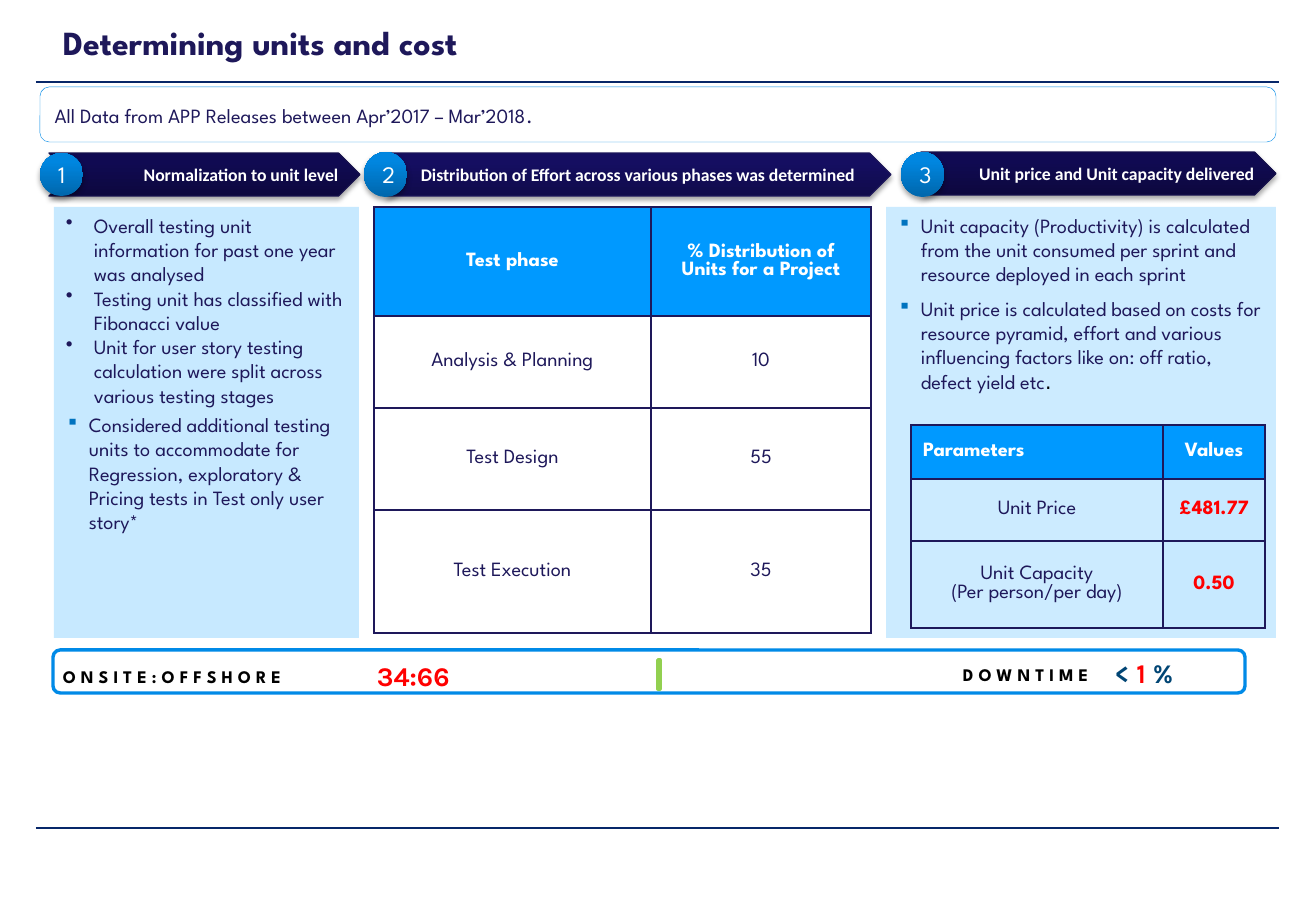
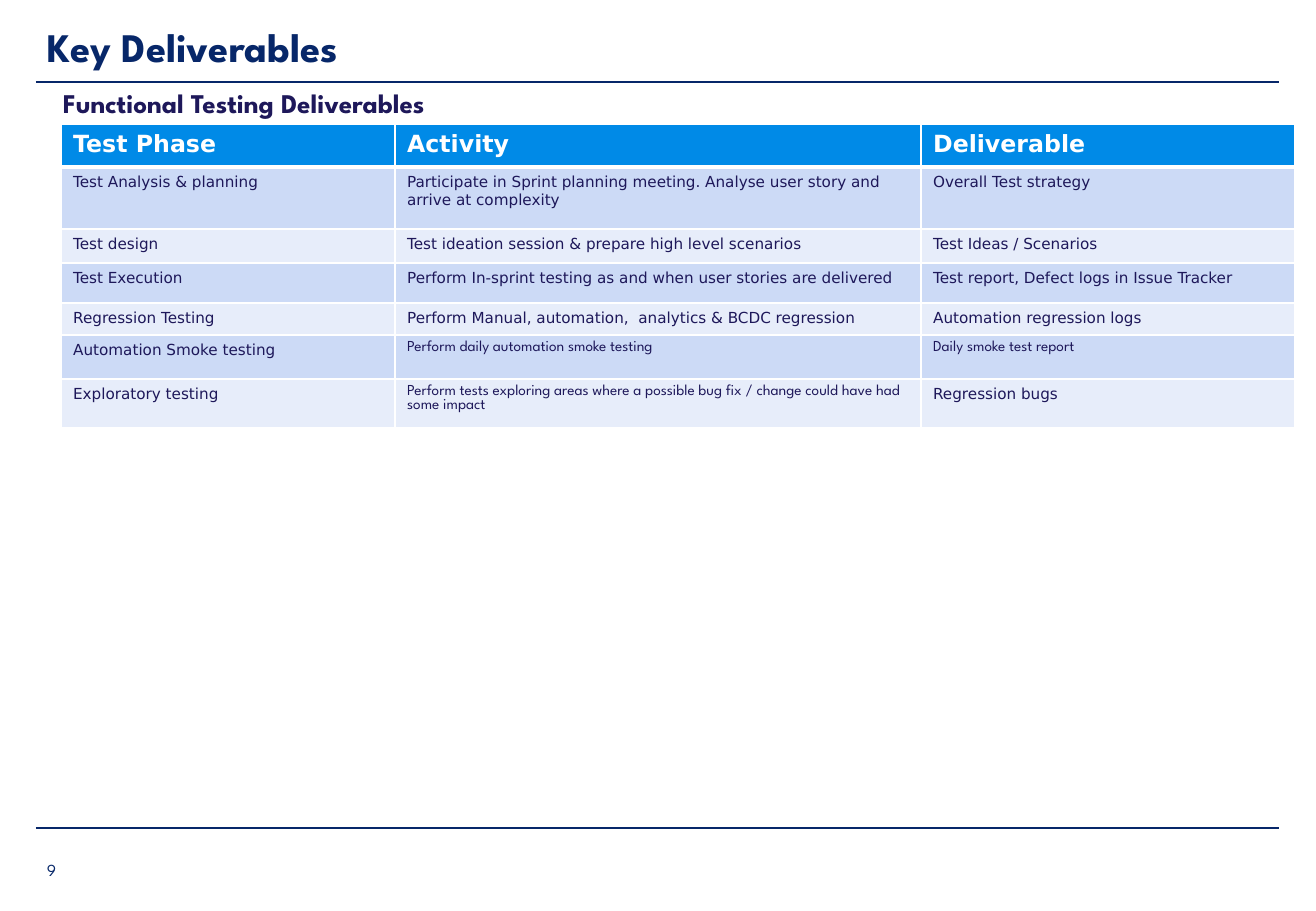
"""Build two slides on test unit costing and testing deliverables."""
from dataclasses import dataclass

from lxml.etree import SubElement
from pptx import Presentation
from pptx.dml.color import RGBColor
from pptx.enum.shapes import MSO_CONNECTOR, MSO_SHAPE
from pptx.enum.text import MSO_ANCHOR, PP_ALIGN
from pptx.oxml import parse_xml
from pptx.oxml.ns import nsdecls, qn
from pptx.shapes.autoshape import Shape
from pptx.slide import Slide
from pptx.text.text import TextFrame, _Paragraph
from pptx.util import Emu, Pt

EMU_PER_PX = 914400 / 121.5
WIDTH, HEIGHT = 1316, 911

SPARTAN, KARLA, CALIBRI, DEJAVU = "League Spartan", "Karla", "Calibri", "DejaVu Sans"
INK = RGBColor(0x1E, 0x18, 0x5A)
NAVY = RGBColor(0x07, 0x27, 0x69)
TEAL = RGBColor(0x00, 0x45, 0x74)
BLUE = RGBColor(0x00, 0x8A, 0xE7)
BULLET_BLUE = RGBColor(0x00, 0x73, 0xBF)
HEAD_BLUE = RGBColor(0x00, 0x99, 0xFF)
PALE = RGBColor(0xC7, 0xE9, 0xFF)
PALE_RIGHT = RGBColor(0xCC, 0xEB, 0xFF)
BAND_DARK = RGBColor(0xCC, 0xDA, 0xF6)
BAND_LIGHT = RGBColor(0xE7, 0xED, 0xFA)
BANNER_EDGE = RGBColor(0x16, 0x11, 0x4C)
MIDDLE_EDGE = RGBColor(0x1C, 0x16, 0x5A)
GREEN = RGBColor(0x92, 0xD0, 0x50)
RED = RGBColor(0xFF, 0x00, 0x00)
BLACK = RGBColor(0x00, 0x00, 0x00)
WHITE = RGBColor(0xFF, 0xFF, 0xFF)

BANNER_STOPS = ("0D083F", "100A52", "0F0954")
MIDDLE_STOPS = ("100B4B", "150E61", "140C63")
BADGE_STOPS = ("0067AC", "0086E0", "0086E1")

LEFT, CENTER, RIGHT = PP_ALIGN.LEFT, PP_ALIGN.CENTER, PP_ALIGN.RIGHT
TOP, MIDDLE = MSO_ANCHOR.TOP, MSO_ANCHOR.MIDDLE


@dataclass(frozen=True)
class Box:
    x: int
    y: int
    w: int
    h: int


@dataclass(frozen=True)
class Step:
    number: str
    text: str
    banner: Box
    badge: Box
    stops: tuple[str, ...] = BANNER_STOPS
    edge: RGBColor = BANNER_EDGE
    align: PP_ALIGN = RIGHT


@dataclass(frozen=True)
class Cell:
    text: str
    fill: RGBColor | None = None
    color: RGBColor = INK
    bold: bool = False
    size: float = 12
    font: str = SPARTAN
    align: PP_ALIGN = CENTER


def px(n: float) -> Emu:
    return Emu(round(n * EMU_PER_PX))


def place(box: Box) -> tuple[Emu, ...]:
    return px(box.x), px(box.y), px(box.w), px(box.h)


def add_run(p: _Paragraph, text: str, *, size: float = 12, font: str = SPARTAN,
            color: RGBColor = INK, bold: bool = False, track: int = 0) -> None:
    r = p.add_run()
    r.text = text
    r.font.size, r.font.name, r.font.bold = Pt(size), font, bold
    r.font.color.rgb = color
    if track:
        r.font._element.set("spc", str(track * 100))


def write(tf: TextFrame, text: str, *, align: PP_ALIGN = LEFT, **fmt) -> _Paragraph:
    for line in text.split("\n"):
        p = tf.add_paragraph() if tf.text else tf.paragraphs[0]
        p.alignment = align
        add_run(p, line, **fmt)
    return p


def add_bullet(tf: TextFrame, text: str, *, square: bool = True) -> _Paragraph:
    p = write(tf, text)
    indent = px(23 if square else 28)
    pPr = p._p.get_or_add_pPr()
    if square:
        p.space_before = p.space_after = Pt(3)
        SubElement(SubElement(pPr, qn("a:buClr")), qn("a:srgbClr")).set("val", str(BULLET_BLUE))
        SubElement(pPr, qn("a:buSzPct")).set("val", "90000")
    pPr.set("marL", str(indent))
    pPr.set("indent", str(-indent))
    SubElement(pPr, qn("a:buChar")).set("char", "▪" if square else "•")
    return p


def add_label(slide: Slide, box: Box, text: str, *, anchor: MSO_ANCHOR = TOP, **fmt) -> _Paragraph:
    tf = slide.shapes.add_textbox(*place(box)).text_frame
    tf.word_wrap, tf.vertical_anchor = True, anchor
    return write(tf, text, **fmt)


def add_shape(slide: Slide, kind: MSO_SHAPE, box: Box, *, fill: RGBColor | None = None,
              line: RGBColor | None = None, width: float = 0.75,
              anchor: MSO_ANCHOR = TOP) -> Shape:
    sp = slide.shapes.add_shape(kind, *place(box))
    sp.shadow.inherit = False
    if fill is not None:
        sp.fill.solid()
        sp.fill.fore_color.rgb = fill
    if line is None:
        sp.line.fill.background()
    else:
        sp.line.color.rgb, sp.line.width = line, Pt(width)
    sp.text_frame.word_wrap, sp.text_frame.vertical_anchor = True, anchor
    return sp


def add_glossy(slide: Slide, kind: MSO_SHAPE, box: Box, stops: tuple[str, ...],
               line: RGBColor | None = None) -> Shape:
    sp = add_shape(slide, kind, box, line=line, anchor=MIDDLE)
    spPr = sp._element.spPr
    marks = "".join(f'<a:gs pos="{pos}"><a:srgbClr val="{color}"/></a:gs>'
                    for pos, color in zip((0, 80000, 100000), stops))
    spPr.find(qn("a:prstGeom")).addnext(parse_xml(
        f'<a:gradFill {nsdecls("a")} rotWithShape="1"><a:gsLst>{marks}</a:gsLst>'
        '<a:lin ang="16200000" scaled="0"/></a:gradFill>'))
    spPr.find(qn("a:effectLst")).append(parse_xml(
        f'<a:outerShdw {nsdecls("a")} blurRad="{Pt(3.1)}" dist="{Pt(1.8)}" dir="5400000" '
        'rotWithShape="0"><a:srgbClr val="000000"><a:alpha val="35000"/></a:srgbClr>'
        '</a:outerShdw>'))
    return sp


def add_step(slide: Slide, step: Step) -> None:
    tf = add_glossy(slide, MSO_SHAPE.CHEVRON, step.banner, step.stops, step.edge).text_frame
    tf.margin_left = tf.margin_right = 0
    write(tf, step.text, size=10.5, font=CALIBRI, color=WHITE, bold=True, align=step.align)
    badge = add_glossy(slide, MSO_SHAPE.OVAL, step.badge, BADGE_STOPS)
    write(badge.text_frame, step.number, size=14, color=WHITE, align=CENTER)


def add_table(slide: Slide, x: int, y: int, cols: list[int], rows: list[int],
              cells: list[list[Cell]], *, border: RGBColor, anchor: MSO_ANCHOR = MIDDLE,
              head_rule: int = 1) -> None:
    box = Box(x, y, sum(cols), sum(rows))
    table = slide.shapes.add_table(len(rows), len(cols), *place(box)).table
    table.first_row = table.horz_banding = False
    for column, w in zip(table.columns, cols):
        column.width = px(w)
    for i, (row, h) in enumerate(zip(table.rows, rows)):
        row.height = px(h)
        for tc, cell in zip(row.cells, cells[i]):
            tc.vertical_anchor = anchor
            if cell.fill is None:
                tc.fill.background()
            else:
                tc.fill.solid()
                tc.fill.fore_color.rgb = cell.fill
            write(tc.text_frame, cell.text, size=cell.size, font=cell.font, color=cell.color,
                  bold=cell.bold, align=cell.align)
            tcPr = tc._tc.get_or_add_tcPr()
            for n, side in enumerate("LRTB"):
                width = Pt(head_rule if (i, side) in ((0, "B"), (1, "T")) else 1)
                tcPr.insert(n, parse_xml(
                    f'<a:ln{side} {nsdecls("a")} w="{width}"><a:solidFill>'
                    f'<a:srgbClr val="{border}"/></a:solidFill></a:ln{side}>'))


def add_slide(prs: Presentation, title: str, box: Box, **fmt) -> Slide:
    slide = prs.slides.add_slide(prs.slide_layouts[6])
    for y, width in ((82, 1), (828, 0.75)):
        rule = slide.shapes.add_connector(MSO_CONNECTOR.STRAIGHT, px(36), px(y), px(1279), px(y))
        rule.line.color.rgb, rule.line.width = NAVY, Pt(width)
        SubElement(rule._element.spPr, qn("a:effectLst"))
    add_label(slide, box, title, bold=True, **fmt)
    return slide


def head(text: str, align: PP_ALIGN = CENTER) -> Cell:
    return Cell(text, HEAD_BLUE, WHITE, True, align=align)


def build_costs(prs: Presentation) -> None:
    slide = add_slide(prs, "Determining units and cost", Box(51, 16, 1091, 75), size=20)

    scope = add_shape(slide, MSO_SHAPE.ROUNDED_RECTANGLE, Box(40, 87, 1236, 55), fill=WHITE,
                      line=BLUE, width=0.25, anchor=MIDDLE)
    p = write(scope.text_frame, "All Data from APP Releases between Apr’2017 – Mar’2018")
    add_run(p, ".", size=13)

    left = add_shape(slide, MSO_SHAPE.RECTANGLE, Box(54, 207, 305, 431), fill=PALE).text_frame
    for text in ("Overall testing unit information for past one year was analysed",
                 "Testing unit has classified with Fibonacci value",
                 "Unit for user story testing calculation were split across various "
                 "testing stages"):
        add_bullet(left, text, square=False)
    add_bullet(left, "Considered additional testing units to accommodate for Regression, "
                     "exploratory & Pricing tests in Test only user story*")

    right = add_shape(slide, MSO_SHAPE.RECTANGLE, Box(886, 207, 390, 431),
                      fill=PALE_RIGHT).text_frame
    add_bullet(right, "Unit capacity (Productivity) is calculated from the unit consumed per "
                      "sprint and resource deployed in each sprint")
    p = add_bullet(right, "Unit price is calculated based on costs for resource pyramid, effort "
                          "and various influencing factors like on: off ratio, defect yield etc")
    add_run(p, ".", font=DEJAVU, color=BLACK)

    for step in (
        Step("1", "Normalization to unit level", Box(49, 153, 311, 43), Box(40, 153, 43, 43)),
        Step("2", "Distribution of Effort across various phases was determined",
             Box(385, 153, 506, 43), Box(364, 152, 43, 45), MIDDLE_STOPS, MIDDLE_EDGE, CENTER),
        Step("3", "Unit price and Unit capacity delivered",
             Box(921, 152, 355, 43), Box(901, 152, 43, 45)),
    ):
        add_step(slide, step)

    shares = {"Analysis & Planning": "10", "Test Design": "55", "Test Execution": "35"}
    add_table(slide, 374, 207, [277, 220], [109, 92, 102, 123],
              [[head("Test phase"), head("% Distribution of Units for a Project")]]
              + [[Cell(phase), Cell(share)] for phase, share in shares.items()], border=INK)

    values = {"Unit Price": "£481.77", "Unit Capacity\n(Per person/per day)": "0.50"}
    add_table(slide, 911, 425, [252, 102], [54, 62, 87],
              [[head("Parameters", LEFT), head("Values")]]
              + [[Cell(name), Cell(value, PALE, RED, True)] for name, value in values.items()],
              border=INK)

    add_shape(slide, MSO_SHAPE.ROUNDED_RECTANGLE, Box(53, 650, 1192, 43), fill=WHITE,
              line=BLUE, width=2)
    add_shape(slide, MSO_SHAPE.RECTANGLE, Box(658, 660, 2, 29), fill=GREEN, line=GREEN, width=2)
    for text, box in (("ONSITE:OFFSHORE", Box(51, 660, 283, 34)),
                      ("DOWNTIME", Box(951, 658, 162, 34))):
        add_label(slide, box, text, size=10.5, color=BLACK, bold=True, track=3)
    figure = {"size": 16, "font": KARLA, "bold": True}
    add_label(slide, Box(365, 654, 101, 45), "34:66", color=RED, **figure)
    p = add_label(slide, Box(1103, 651, 101, 45), "< ", color=TEAL, **figure)
    add_run(p, "1", color=RED, **figure)
    add_run(p, " %", color=TEAL, **figure)


def build_deliverables(prs: Presentation) -> None:
    slide = add_slide(prs, "Key Deliverables", Box(36, 16, 1243, 62), size=24, color=NAVY)
    add_label(slide, Box(35, 838, 78, 63), "9", size=10, color=NAVY, anchor=MIDDLE)
    add_label(slide, Box(51, 81, 1255, 40), "Functional Testing Deliverables", size=16, bold=True)

    smoke = "Perform daily automation smoke testing"
    smoke_report = "Daily smoke test report"
    explore = ("Perform tests exploring areas where a possible bug fix / change could have had "
               "some impact")
    rows = [
        ("Test Analysis & planning", "Participate in Sprint planning meeting. Analyse user story "
         "and arrive at complexity", "Overall Test strategy"),
        ("Test design", "Test ideation session & prepare high level scenarios",
         "Test Ideas / Scenarios"),
        ("Test Execution", "Perform In-sprint testing as and when user stories are delivered",
         "Test report, Defect logs in Issue Tracker"),
        ("Regression Testing", "Perform Manual, automation,  analytics & BCDC regression",
         "Automation regression logs"),
        ("Automation Smoke testing", smoke, smoke_report),
        ("Exploratory testing", explore, "Regression bugs"),
    ]
    cells = [[Cell(text, BLUE, WHITE, True, 14, DEJAVU, LEFT)
              for text in ("Test Phase", "Activity", "Deliverable")]]
    for i, row in enumerate(rows):
        band = BAND_LIGHT if i % 2 else BAND_DARK
        cells.append([Cell(text, band, size=9, align=LEFT,
                           font=SPARTAN if text in (smoke, smoke_report, explore) else DEJAVU)
                      for text in row])
    add_table(slide, 61, 124, [334, 526, 374], [43, 62, 34, 40, 32, 44, 48], cells,
              border=WHITE, anchor=TOP, head_rule=3)


def main() -> None:
    prs = Presentation()
    prs.slide_width, prs.slide_height = px(WIDTH), px(HEIGHT)
    build_costs(prs)
    build_deliverables(prs)
    prs.save("out.pptx")


main()
